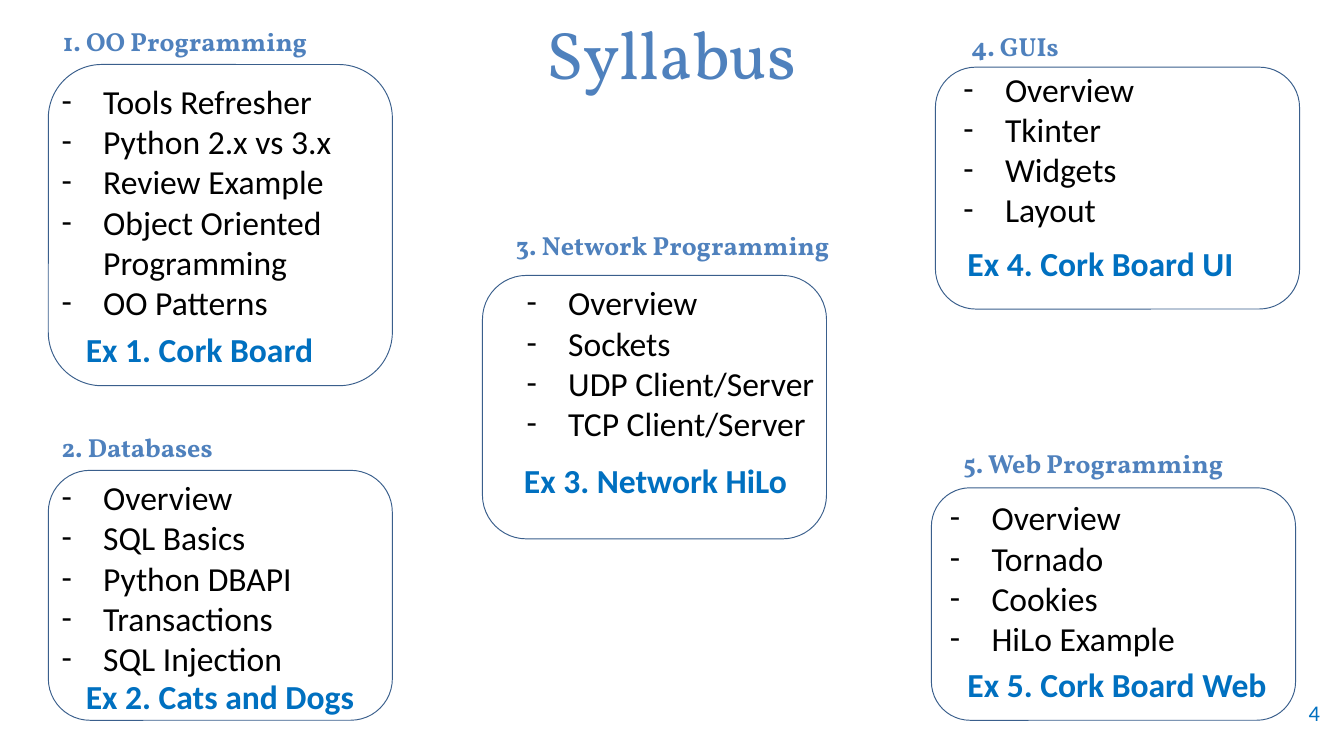
from lxml import etree
from pptx import Presentation
from pptx.dml.color import RGBColor
from pptx.enum.shapes import MSO_SHAPE
from pptx.enum.text import MSO_ANCHOR, PP_ALIGN
from pptx.oxml.ns import qn
from pptx.util import Inches, Pt

HEADING_BLUE = RGBColor(0x4F, 0x81, 0xBD)
EXERCISE_BLUE = RGBColor(0x00, 0x70, 0xC0)
OUTLINE_BLUE = RGBColor(0x3A, 0x5F, 0x8C)
BLACK = RGBColor(0x00, 0x00, 0x00)
INDENT = Inches(0.31)

# Each section: heading, frame, list and exercise, every one with its position
SECTIONS = [
    ("1. OO Programming", (0.37, 0.14, 2.94, 0.42), (0.36, 0.48, 2.56, 2.39),
     ["Tools Refresher", "Python 2.x vs 3.x", "Review Example",
      "Object Oriented Programming", "OO Patterns"], (0.36, 0.55, 2.67, 2.22),
     "Ex 1. Cork Board", (0.54, 2.4, 2.5, 0.4)),
    ("2. Databases", (0.36, 3.16, 2.63, 0.42), (0.36, 3.5, 2.56, 1.86),
     ["Overview", "SQL Basics", "Python DBAPI", "Transactions",
      "SQL Injection"], (0.36, 3.5, 2.5, 1.92),
     "Ex 2. Cats and Dogs", (0.54, 4.98, 2.5, 0.4)),
    ("3. Network Programming", (3.74, 1.66, 2.63, 0.42), (3.59, 2.05, 2.56, 1.96),
     ["Overview", "Sockets", "UDP Client/Server", "TCP Client/Server"],
     (3.82, 2.05, 2.67, 1.62),
     "Ex 3. Network HiLo", (3.8, 3.37, 2.5, 0.4)),
    ("4. GUIs", (7.13, 0.18, 2.63, 0.42), (6.96, 0.5, 2.71, 1.8),
     ["Overview", "Tkinter", "Widgets", "Layout"], (7.07, 0.46, 2.67, 1.62),
     "Ex 4. Cork Board UI", (7.1, 1.76, 2.38, 0.4)),
    ("5. Web Programming", (7.07, 3.28, 2.63, 0.42), (6.93, 3.63, 2.71, 1.73),
     ["Overview", "Tornado", "Cookies", "HiLo Example"],
     (6.97, 3.65, 2.67, 1.62),
     "Ex 5. Cork Board Web", (7.1, 4.89, 2.5, 0.4)),
]


def add_text(box, lines, font, size, color, bold=False,
             align=PP_ALIGN.LEFT, anchor=MSO_ANCHOR.TOP):
    """Add a wrapped text box with one paragraph per line and return its frame."""
    tf = slide.shapes.add_textbox(*map(Inches, box)).text_frame
    tf.word_wrap = True
    tf.vertical_anchor = anchor
    tf.text = "\n".join(lines)
    for p in tf.paragraphs:
        p.alignment = align
        for r in p.runs:
            r.font.name = font
            r.font.size = Pt(size)
            r.font.bold = bold
            r.font.color.rgb = color
    return tf


def add_dashes(tf):
    """Give every paragraph a hanging dash bullet."""
    for p in tf.paragraphs:
        pPr = p._p.get_or_add_pPr()
        pPr.set("marL", str(INDENT))
        pPr.set("indent", str(-INDENT))
        etree.SubElement(pPr, qn("a:buFont"), typeface="Calibri")
        etree.SubElement(pPr, qn("a:buChar"), char="-")


prs = Presentation()
prs.slide_width = Inches(10)
prs.slide_height = prs.slide_width * 9 // 16
slide = prs.slides.add_slide(prs.slide_layouts[6])

add_text((0.08, 0.06, 9.83, 0.67), ["Syllabus"], "Vollkorn", 36, HEADING_BLUE,
         align=PP_ALIGN.CENTER, anchor=MSO_ANCHOR.MIDDLE)
add_text((9.25, 5.15, 0.67, 0.3), ["4"], "Calibri", 12, EXERCISE_BLUE,
         align=PP_ALIGN.RIGHT, anchor=MSO_ANCHOR.MIDDLE)

for heading, heading_box, frame_box, topics, topics_box, exercise, exercise_box in SECTIONS:
    frame = slide.shapes.add_shape(MSO_SHAPE.ROUNDED_RECTANGLE, *map(Inches, frame_box))
    frame.shadow.inherit = False
    frame.fill.background()
    frame.line.color.rgb = OUTLINE_BLUE
    frame.line.width = Pt(0.5)

    add_text(heading_box, [heading], "Vollkorn", 14, HEADING_BLUE, bold=True)
    add_dashes(add_text(topics_box, topics, "Calibri", 18, BLACK))
    add_text(exercise_box, [exercise], "Calibri", 18, EXERCISE_BLUE, bold=True)

prs.save("out.pptx")
